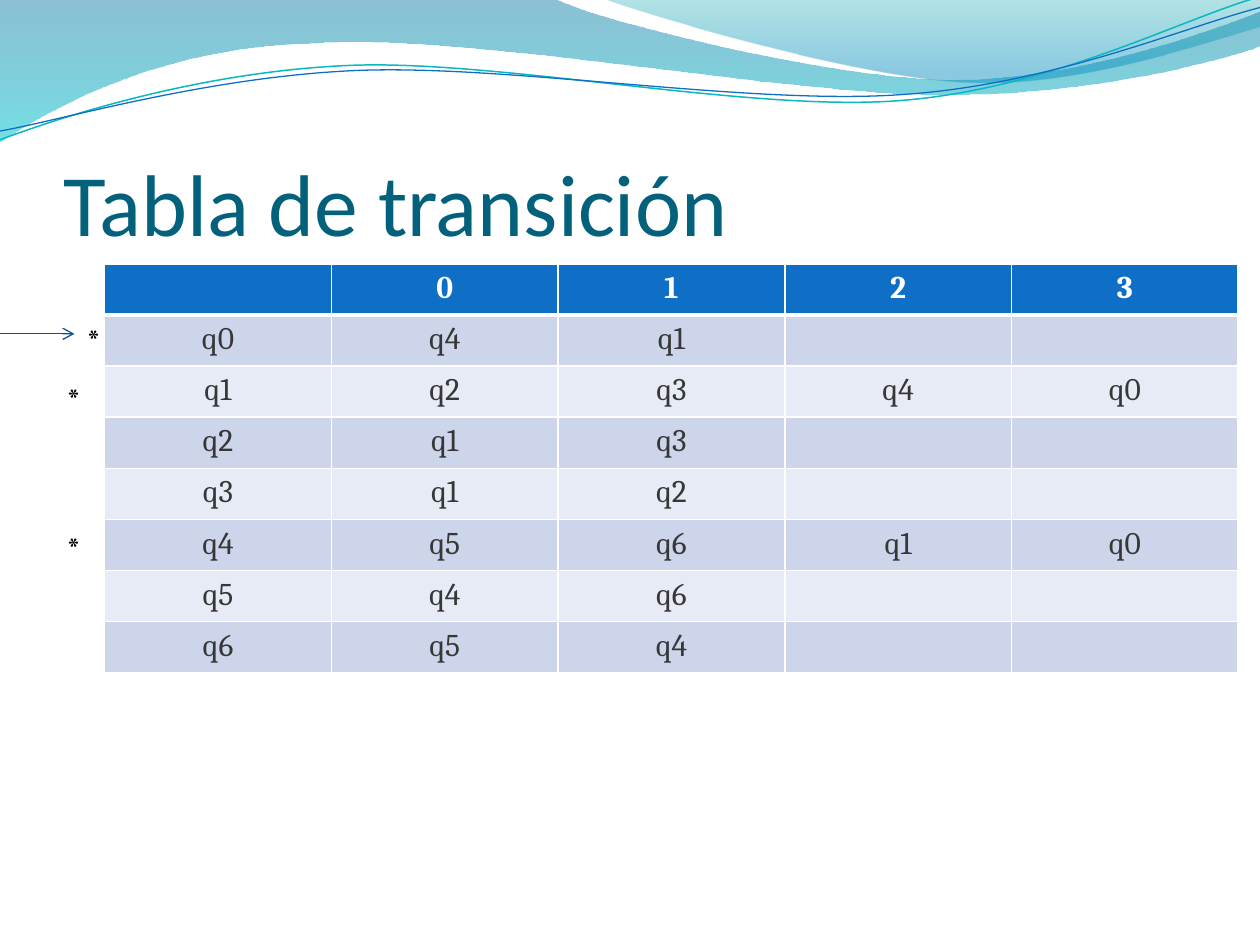
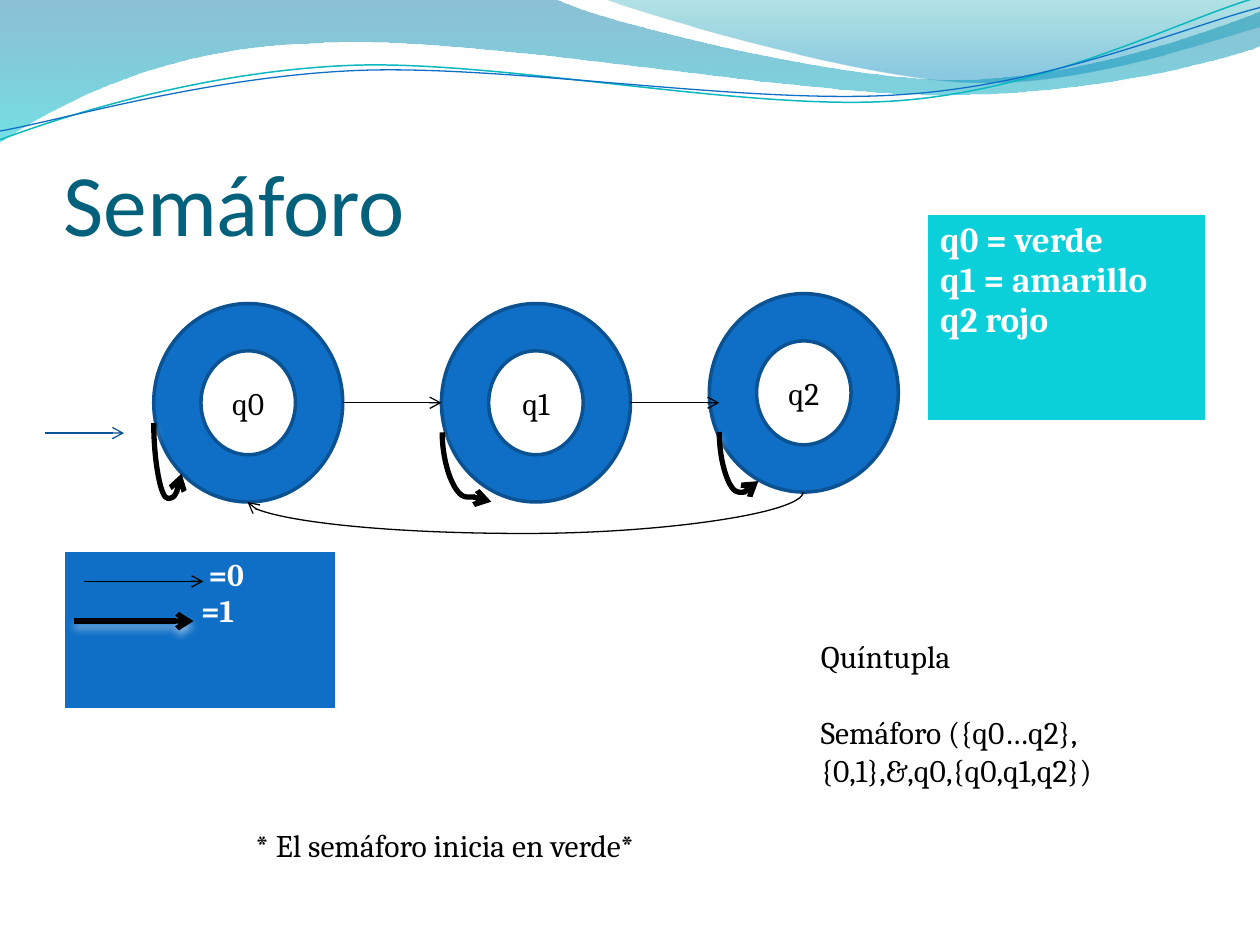
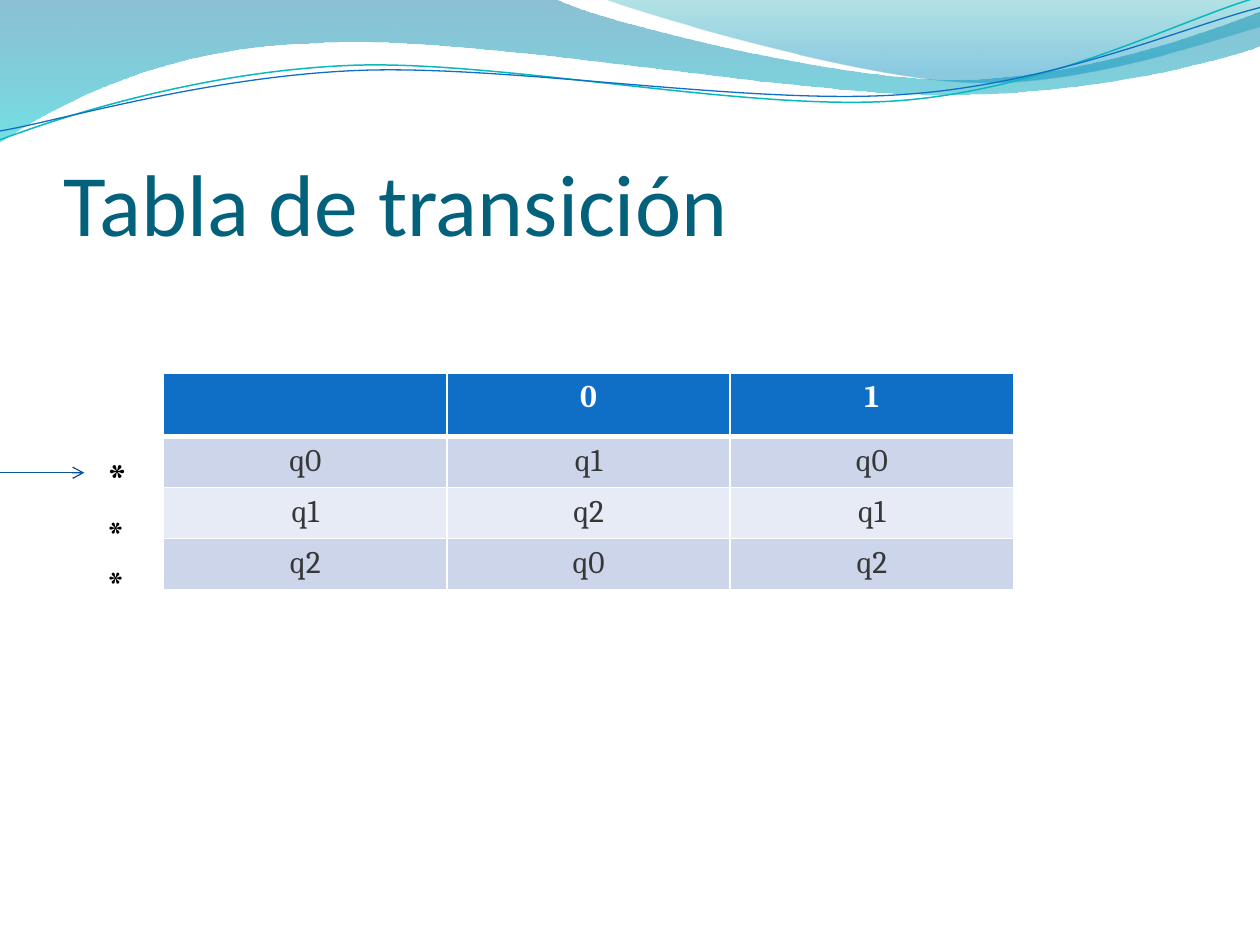
from lxml.etree import SubElement, Element
from pptx import Presentation
from pptx.dml.color import RGBColor
from pptx.enum.shapes import MSO_CONNECTOR as CONNECTOR, MSO_SHAPE as SHAPE
from pptx.enum.text import MSO_ANCHOR as ANCHOR, PP_ALIGN as ALIGN
from pptx.oxml.ns import qn
from pptx.util import Cm, Pt

WHITE = RGBColor(0xFF, 0xFF, 0xFF)
BLACK = RGBColor(0x00, 0x00, 0x00)
CELL_TEXT = RGBColor(0x37, 0x37, 0x37)
TITLE_TEAL = RGBColor(0x04, 0x61, 0x7B)
BLUE = RGBColor(0x0F, 0x6F, 0xC6)
RING_EDGE = RGBColor(0x0B, 0x52, 0x92)
START_BLUE = RGBColor(0x09, 0x52, 0x95)
CYAN = RGBColor(0x0B, 0xD0, 0xD9)
CYAN_LINE = RGBColor(0x0A, 0xB8, 0xBF)
DEEP_BLUE = RGBColor(0x00, 0x74, 0xA1)
TURQUOISE = RGBColor(0x00, 0xC6, 0xCF)
GREEN_TEAL = RGBColor(0x00, 0xA1, 0xA9)
SKY_BLUE = RGBColor(0x00, 0x8B, 0xBF)
ROW_DARK = RGBColor(0xCC, 0xD5, 0xEA)
ROW_LIGHT = RGBColor(0xE7, 0xEB, 0xF5)

BODY = {"name": "Cambria", "size": Pt(18), "bold": False}
BOLD = BODY | {"bold": True}
TITLE = {"name": "Calibri", "size": Pt(50), "bold": False}


def write(frame, lines, font_values, color=BLACK, alignment=ALIGN.LEFT):
    """Fill a text frame with one paragraph per line, all in one format."""
    frame.word_wrap = True
    for index, line in enumerate(lines):
        paragraph = frame.add_paragraph() if index else frame.paragraphs[0]
        paragraph.alignment = alignment
        run = paragraph.add_run()
        run.text = line
        for name, value in font_values.items():
            setattr(run.font, name, value)
        run.font.color.rgb = color


def add_arrow(slide, start, end, color=BLACK, heavy=False, kind=CONNECTOR.STRAIGHT):
    """Draw an arrow between two points in cm; a heavy one has a soft pale shadow."""
    arrow = slide.shapes.add_connector(kind, *map(Cm, start + end))
    arrow.line.color.rgb = color
    arrow.line.width = Pt(3 if heavy else 0.75)
    SubElement(arrow.line._get_or_add_ln(), qn("a:tailEnd"), type="arrow")
    effects = SubElement(arrow._element.spPr, qn("a:effectLst"))
    if heavy:
        shadow = SubElement(effects, qn("a:outerShdw"), blurRad=str(Pt(4.5)),
                            dist=str(Pt(3)), dir="5400000", rotWithShape="0")
        shade = SubElement(shadow, qn("a:srgbClr"), val=str(WHITE))
        SubElement(shade, qn("a:alpha"), val="48000")
    return arrow


presentation = Presentation()
presentation.slide_width = Cm(25.4)
presentation.slide_height = Cm(19.05)
blank = presentation.slide_layouts[6]
titles = ["Tabla de transición", "Semáforo", "Tabla de transición"]
slides = [presentation.slides.add_slide(blank) for title in titles]
first_slide, light_slide, last_slide = slides

# Wave band. One unit is a tenth of the slide width. A pair is a straight
# step; six numbers are a cubic curve. Stops: position, colour, opacity in %.
waves = [
    ([(0, 0), (4.4, -0.01), (4.76, 0.17, 6.64, 0.63, 7.58, 0.63),
      (8.53, 0.63, 9.58, 0.26, 10, 0.09), (10.01, 0.36),
      (9.83, 0.44, 8.7, 0.76, 7.46, 0.75), (6.22, 0.75, 3.82, 0.28, 2.57, 0.34),
      (1.29, 0.36, 0.46, 0.83, -0.01, 1.13), (0, 0)],
     [(0, DEEP_BLUE, 45), (1, TURQUOISE, 55)], None),
    ([(4.79, -0.01), (5.09, 0.11, 6.82, 0.62, 7.69, 0.65),
      (8.56, 0.69, 9.61, 0.32, 10, 0.21), (10, 0), (4.79, -0.01)],
     [(0, GREEN_TEAL, 30), (0.8, SKY_BLUE, 45)], None),
    ([(0, 1.11), (0.48, 0.93, 1.58, 0.57, 2.77, 0.52),
      (3.95, 0.47, 5.93, 0.89, 7.13, 0.8), (8.33, 0.71, 9.38, 0.15, 9.98, -0.02)],
     None, (CYAN_LINE, 0.85)),
    ([(0, 1.04), (0.47, 0.96, 1.64, 0.61, 2.83, 0.56),
      (4.03, 0.51, 5.97, 0.84, 7.17, 0.75), (8.36, 0.67, 9.41, 0.21, 10, 0.06)],
     None, (BLUE, 0.75)),
]
for segments, stops, stroke in waves:
    points = [(segment[i] * 1000, segment[i + 1] * 1000)
              for segment in segments for i in range(0, len(segment), 2)]
    builder = first_slide.shapes.build_freeform(*points[0], scale=Cm(2.54) / 1000)
    builder.add_line_segments(points[1:], close=stops is not None)
    wave = builder.convert_to_shape()
    # Every three steps of a curve become one cubic segment.
    steps = iter(list(wave._element.spPr.iter(qn("a:lnTo"))))
    for segment in segments[1:]:
        step = next(steps)
        if len(segment) == 6:
            step.tag = qn("a:cubicBezTo")
            for _ in range(2):
                extra = next(steps)
                step.append(extra[0])
                extra.getparent().remove(extra)
    wave.shadow.inherit = False
    if stops:
        wave.fill.gradient()
        wave.fill.gradient_angle = 270
        for gradient_stop, (position, color, opacity) in zip(wave.fill.gradient_stops, stops):
            gradient_stop.position = position
            gradient_stop.color.rgb = color
        for color_node, stop in zip(wave._element.spPr.iter(qn("a:srgbClr")), stops):
            SubElement(color_node, qn("a:alpha"), val=str(stop[2] * 1000))
        wave.line.fill.background()
    else:
        wave.fill.background()
        wave.line.color.rgb = stroke[0]
        wave.line.width = Pt(stroke[1])
    # The layout carries the band, so that every slide shows it.
    blank.shapes._spTree.append(wave._element)

for slide, title in zip(slides, titles):
    box = slide.shapes.add_textbox(Cm(1.28), Cm(1.95), Cm(22.86), Cm(3.18))
    frame_values = {"vertical_anchor": ANCHOR.BOTTOM, "margin_left": 0,
                    "margin_right": 0, "margin_bottom": 0}
    for name, value in frame_values.items():
        setattr(box.text_frame, name, value)
    write(box.text_frame, [title], TITLE, TITLE_TEAL)

# Tables: slide, left, top, column width, row heights, head colour, alignment, rows
seven_states = [
    ["", "0", "1", "2", "3"],
    ["q0", "q4", "q1", "", ""],
    ["q1", "q2", "q3", "q4", "q0"],
    ["q2", "q1", "q3", "", ""],
    ["q3", "q1", "q2", "", ""],
    ["q4", "q5", "q6", "q1", "q0"],
    ["q5", "q4", "q6", "", ""],
    ["q6", "q5", "q4", "", ""],
]
three_states = [["", "0", "1"], ["q0", "q1", "q0"], ["q1", "q2", "q1"], ["q2", "q0", "q2"]]
tables = [
    (first_slide, 2.11, 5.32, 4.57, [1.03] * 8, BLUE, ALIGN.CENTER, seven_states),
    (light_slide, 18.7, 4.32, 5.6, [4.2], CYAN, ALIGN.LEFT,
     [["q0 = verde\nq1 = amarillo\nq2 rojo"]]),
    (light_slide, 1.3, 11.12, 5.46, [3.2], BLUE, ALIGN.LEFT, [["=0\n=1"]]),
    (last_slide, 3.3, 7.52, 5.71, [1.28, 1.03, 1.03, 1.03], BLUE, ALIGN.CENTER, three_states),
]
for slide, left, top, width, heights, head_color, alignment, rows in tables:
    column_count = len(rows[0])
    table = slide.shapes.add_table(len(rows), column_count, Cm(left), Cm(top),
                                   Cm(width * column_count), Cm(sum(heights))).table
    for column in table.columns:
        column.width = Cm(width)
    for row_index, row in enumerate(rows):
        table.rows[row_index].height = Cm(heights[row_index])
        is_head = row_index == 0
        for column_index, text in enumerate(row):
            cell = table.cell(row_index, column_index)
            cell.fill.solid()
            cell.fill.fore_color.rgb = (head_color if is_head
                                        else ROW_DARK if row_index % 2 else ROW_LIGHT)
            if text:
                write(cell.text_frame, text.split("\n"), BOLD if is_head else BODY,
                      WHITE if is_head else CELL_TEXT, alignment)
            borders = {"a:lnL": 1, "a:lnR": 1, "a:lnT": 3 if row_index == 1 else 1,
                       "a:lnB": 3 if is_head else 1}
            for position, (side, points) in enumerate(borders.items()):
                border = Element(qn(side), w=str(Pt(points)))
                paint = SubElement(border, qn("a:solidFill"))
                SubElement(paint, qn("a:srgbClr"), val=str(WHITE))
                cell._tc.get_or_add_tcPr().insert(position, border)
    if slide is light_slide and head_color == CYAN:
        for paragraph in table.cell(0, 0).text_frame.paragraphs:
            paragraph.runs[0].font.size = Pt(20)
    elif slide is light_slide:
        for paragraph, indent in zip(table.cell(0, 0).text_frame.paragraphs, (2.65, 2.5)):
            paragraph._p.get_or_add_pPr().set("marL", str(Cm(indent)))

# Start arrows and marks of the accepting states
add_arrow(first_slide, (0, 6.73), (1.5, 6.73), START_BLUE)
add_arrow(last_slide, (0, 9.53), (1.7, 9.53), START_BLUE)
add_arrow(light_slide, (0.9, 8.73), (2.5, 8.73), START_BLUE)
accepting_marks = [
    (first_slide, 1.5, 6.32, 18), (first_slide, 1.1, 7.52, 18), (first_slide, 1.1, 10.52, 18),
    (last_slide, 1.9, 8.92, 28), (last_slide, 1.9, 10.13, 24), (last_slide, 1.9, 11.13, 24),
]
for slide, left, top, size in accepting_marks:
    box = slide.shapes.add_textbox(Cm(left), Cm(top), Cm(0.85), Cm(size / 18))
    write(box.text_frame, ["*"], BOLD | {"size": Pt(size)})

# Traffic light automaton
for state, left, top in [("q0", 3.1, 6.12), ("q1", 8.9, 6.12), ("q2", 14.3, 5.92)]:
    ring = light_slide.shapes.add_shape(SHAPE.DONUT, Cm(left), Cm(top), Cm(3.81), Cm(4))
    ring.shadow.inherit = False
    ring.fill.solid()
    ring.fill.fore_color.rgb = BLUE
    ring.line.color.rgb = RING_EDGE
    ring.line.width = Pt(2)
    ring.text_frame.vertical_anchor = ANCHOR.MIDDLE
    write(ring.text_frame, [state], BODY, BLACK, ALIGN.CENTER)

add_arrow(light_slide, (6.91, 8.12), (8.9, 8.12))
add_arrow(light_slide, (12.71, 8.12), (14.5, 8.12))
add_arrow(light_slide, (1.7, 11.72), (4.1, 11.72))
add_arrow(light_slide, (1.5, 12.52), (3.9, 12.52), heavy=True)

# Curves: start and end before turning, degrees, bend in %, heavy or thin
curves = [
    ((10.11, 8.92), (8.71, 9.91), 270, 93.2, True),
    ((15.39, 8.81), (14.4, 9.6), 270, 122.6, True),
    ((3.89, 8.76), (2.87, 9.32), 270, 148.8, True),
    ((10.49, 4.42), (10.69, 15.62), 90, 417.5, False),
]
for start, end, degrees, bend, heavy in curves:
    curve = add_arrow(light_slide, start, end, heavy=heavy, kind=CONNECTOR.CURVE)
    properties = curve._element.spPr
    properties.find(qn("a:xfrm")).set("rot", str(degrees * 60000))
    adjustments = properties.find(qn("a:prstGeom")).find(qn("a:avLst"))
    SubElement(adjustments, qn("a:gd"), name="adj1", fmla=f"val {round(bend * 1000)}")

tuple_box = light_slide.shapes.add_textbox(Cm(16.3), Cm(12.72), Cm(8), Cm(4.11))
write(tuple_box.text_frame, ["Quíntupla", "Semáforo ({q0…q2},{0,1},&,q0,{q0,q1,q2})"], BODY)
tuple_box.text_frame.paragraphs[1].space_before = Pt(21.7)
note_box = light_slide.shapes.add_textbox(Cm(4.9), Cm(16.53), Cm(8.99), Cm(1.03))
write(note_box.text_frame, ["* El semáforo inicia en verde*"], BODY)

presentation.save("out.pptx")
